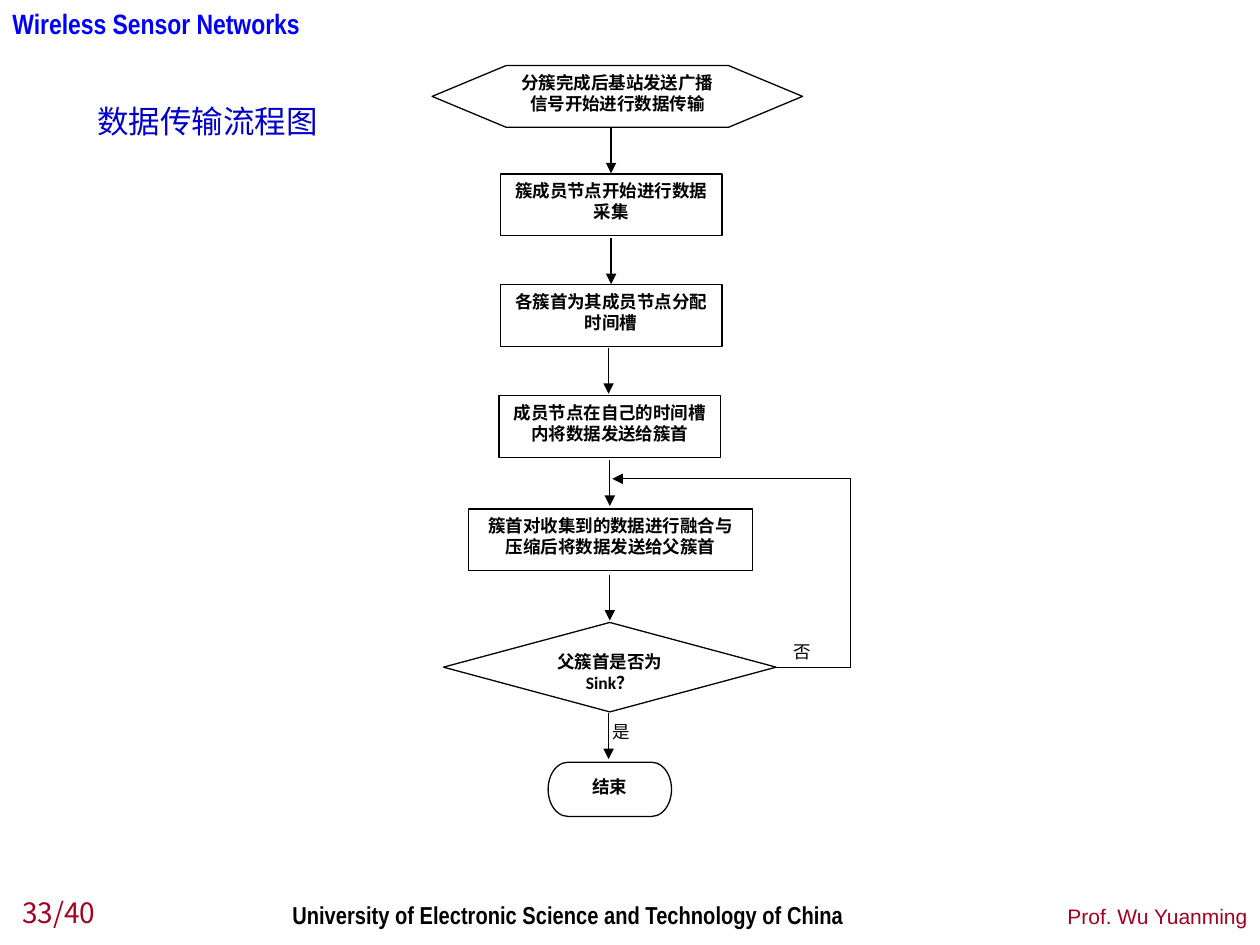
import pptx
import pptx.util
import pptx.dml.color
import pptx.enum.shapes
import pptx.enum.text
import pptx.oxml.ns
import lxml.etree

BLACK = pptx.dml.color.RGBColor(0x00, 0x00, 0x00)
WHITE = pptx.dml.color.RGBColor(0xFF, 0xFF, 0xFF)
BLUE = pptx.dml.color.RGBColor(0x00, 0x00, 0xFF)
DARK_BLUE = pptx.dml.color.RGBColor(0x00, 0x00, 0xCC)
CRIMSON = pptx.dml.color.RGBColor(0xA5, 0x00, 0x21)

SHAPE = pptx.enum.shapes.MSO_SHAPE
ALIGN = pptx.enum.text.PP_ALIGN
ANCHOR = pptx.enum.text.MSO_ANCHOR
COLUMNS, ROWS = 100, 75


class FlowSlide:
    line_width = pptx.util.Pt(0.75)
    chart_font = "Calibri"
    chart_size = 10

    def __init__(self, deck):
        self.column = deck.slide_width / COLUMNS
        self.row = deck.slide_height / ROWS
        self.slide = deck.slides.add_slide(deck.slide_layouts[5])

    def place(self, left, top, right, bottom):
        return (round(left * self.column), round(top * self.row),
                round(right * self.column), round(bottom * self.row))

    def set_text(self, frame, text, font, size, color, bold=False, align=ALIGN.LEFT,
                 anchor=ANCHOR.TOP, wrap=True, inset=True):
        frame.auto_size = pptx.enum.text.MSO_AUTO_SIZE.NONE
        frame.word_wrap = wrap
        frame.vertical_anchor = anchor
        across, down = (0.1, 0.05) if inset else (0, 0)
        frame.margin_left = frame.margin_right = pptx.util.Inches(across)
        frame.margin_top = frame.margin_bottom = pptx.util.Inches(down)
        paragraph = frame.paragraphs[0]
        paragraph.text = text
        paragraph.alignment = align
        paragraph.font.name = font
        paragraph.font.size = pptx.util.Pt(size)
        paragraph.font.bold = bold
        paragraph.font.color.rgb = color

    def title(self, text, box, **style):
        heading = self.slide.shapes.title
        heading.left, heading.top, heading.width, heading.height = self.place(*box)
        self.set_text(heading.text_frame, text, **style)

    def label(self, text, box, **style):
        label = self.slide.shapes.add_textbox(*self.place(*box))
        self.set_text(label.text_frame, text, **style)

    def answer(self, text, left, top):
        self.label(text, (left, top, 2.8, 2.3), font=self.chart_font, size=self.chart_size,
                   color=BLACK, align=ALIGN.JUSTIFY, inset=False)

    def step(self, kind, text, box):
        step = self.slide.shapes.add_shape(kind, *self.place(*box))
        step.shadow.inherit = False
        step.fill.solid()
        step.fill.fore_color.rgb = WHITE
        step.line.color.rgb = BLACK
        step.line.width = self.line_width
        self.set_text(step.text_frame, text, self.chart_font, self.chart_size, BLACK,
                      bold=True, align=ALIGN.CENTER)

    def line(self, start, end, arrow=True):
        line = self.slide.shapes.add_connector(
            pptx.enum.shapes.MSO_CONNECTOR.STRAIGHT, *self.place(*start, *end))
        line.line.color.rgb = BLACK
        line.line.width = self.line_width
        properties = line.element.spPr
        if arrow:
            outline = properties.find(pptx.oxml.ns.qn("a:ln"))
            lxml.etree.SubElement(outline, pptx.oxml.ns.qn("a:tailEnd"), type="triangle")
        lxml.etree.SubElement(properties, pptx.oxml.ns.qn("a:effectLst"))


def main():
    deck = pptx.Presentation()
    deck.slide_width = pptx.util.Inches(10)
    deck.slide_height = pptx.util.Inches(7.5)
    flow = FlowSlide(deck)

    flow.title("数据传输流程图", (6.7, 7.6, 19.7, 4), font="Arial", size=18,
               color=DARK_BLUE, wrap=False)
    flow.label("Wireless Sensor Networks", (0, 0, 24.8, 3.7), font="Arial Narrow",
               size=16, color=BLUE, bold=True, wrap=False)
    flow.label("University of Electronic Science and Technology of China",
               (23.2, 71.4, 45.7, 2.3), font="Arial Narrow", size=14, color=BLACK,
               bold=True, inset=False)
    flow.label("Prof. Wu Yuanming", (81.5, 70.6, 18.5, 3.6), font="Arial", size=12,
               color=CRIMSON, align=ALIGN.RIGHT, anchor=ANCHOR.BOTTOM)
    flow.label("33/40", (0.8, 70.3, 10.6, 3.9), font="Noto Sans CJK JP", size=16,
               color=CRIMSON, anchor=ANCHOR.BOTTOM)

    steps = [
        (SHAPE.FLOWCHART_PREPARATION, "分簇完成后基站发送广播信号开始进行数据传输",
         (34.3, 5.2, 29.4, 4.9)),
        (SHAPE.FLOWCHART_PROCESS, "簇成员节点开始进行数据采集", (39.7, 13.8, 17.6, 4.9)),
        (SHAPE.FLOWCHART_PROCESS, "各簇首为其成员节点分配时间槽", (39.7, 22.6, 17.6, 4.9)),
        (SHAPE.FLOWCHART_PROCESS, "成员节点在自己的时间槽内将数据发送给簇首",
         (39.6, 31.4, 17.6, 4.9)),
        (SHAPE.FLOWCHART_PROCESS, "簇首对收集到的数据进行融合与压缩后将数据发送给父簇首",
         (37.2, 40.4, 22.5, 4.9)),
        (SHAPE.FLOWCHART_DECISION, "父簇首是否为Sink？", (35.2, 49.4, 26.4, 7.1)),
        (SHAPE.FLOWCHART_TERMINATOR, "结束", (43.5, 60.5, 9.8, 4.3)),
    ]
    for kind, text, box in steps:
        flow.step(kind, text, box)

    arrow_length = 3.65
    for center, top in [(48.5, 10.1), (48.5, 18.9), (48.3, 27.6),
                        (48.4, 36.5), (48.4, 45.6), (48.3, 56.6)]:
        flow.line((center, top), (center, top + arrow_length))

    decision_tip, loop_bottom = (61.6, 53), (67.5, 53)
    loop_top, merge = (67.5, 38), (48.6, 38)
    flow.line(decision_tip, loop_bottom, arrow=False)
    flow.line(loop_bottom, loop_top, arrow=False)
    flow.line(loop_top, merge)

    flow.answer("是", 48.6, 57.2)
    flow.answer("否", 63, 50.9)

    deck.save("out.pptx")


if __name__ == "__main__":
    main()
